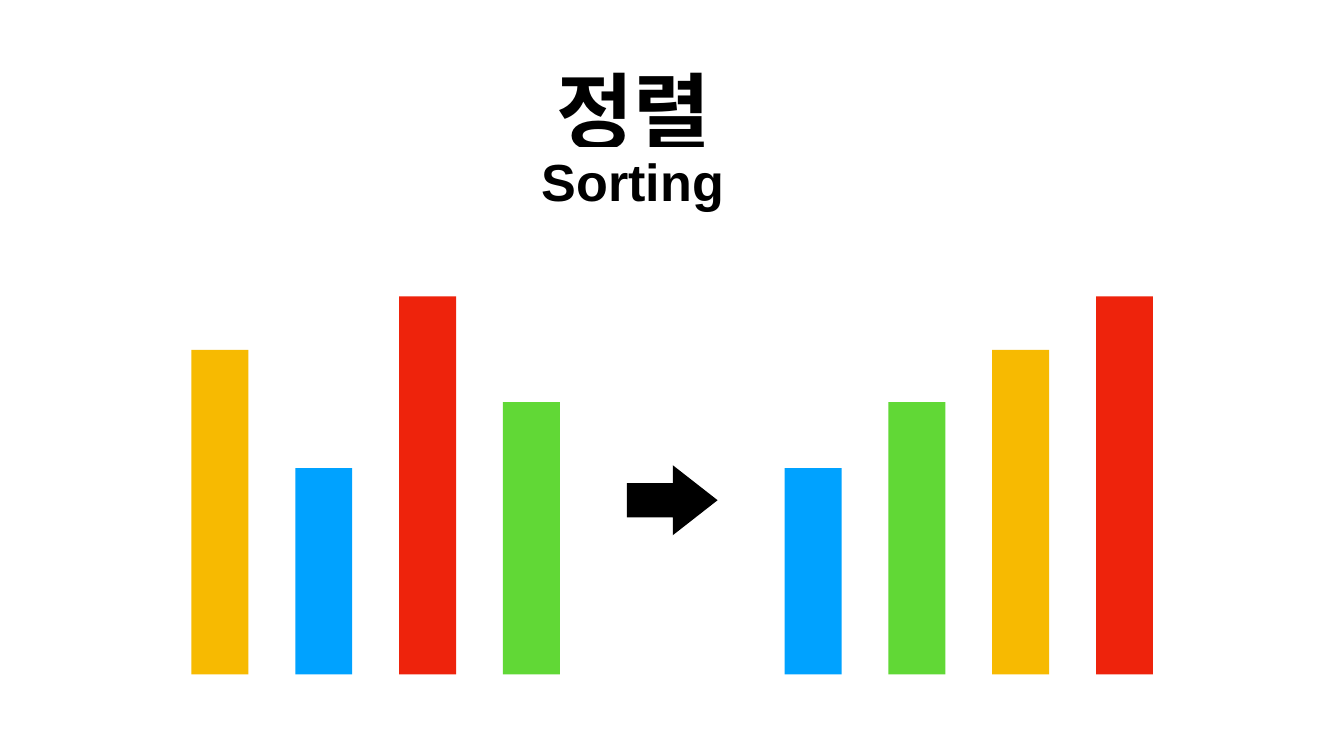
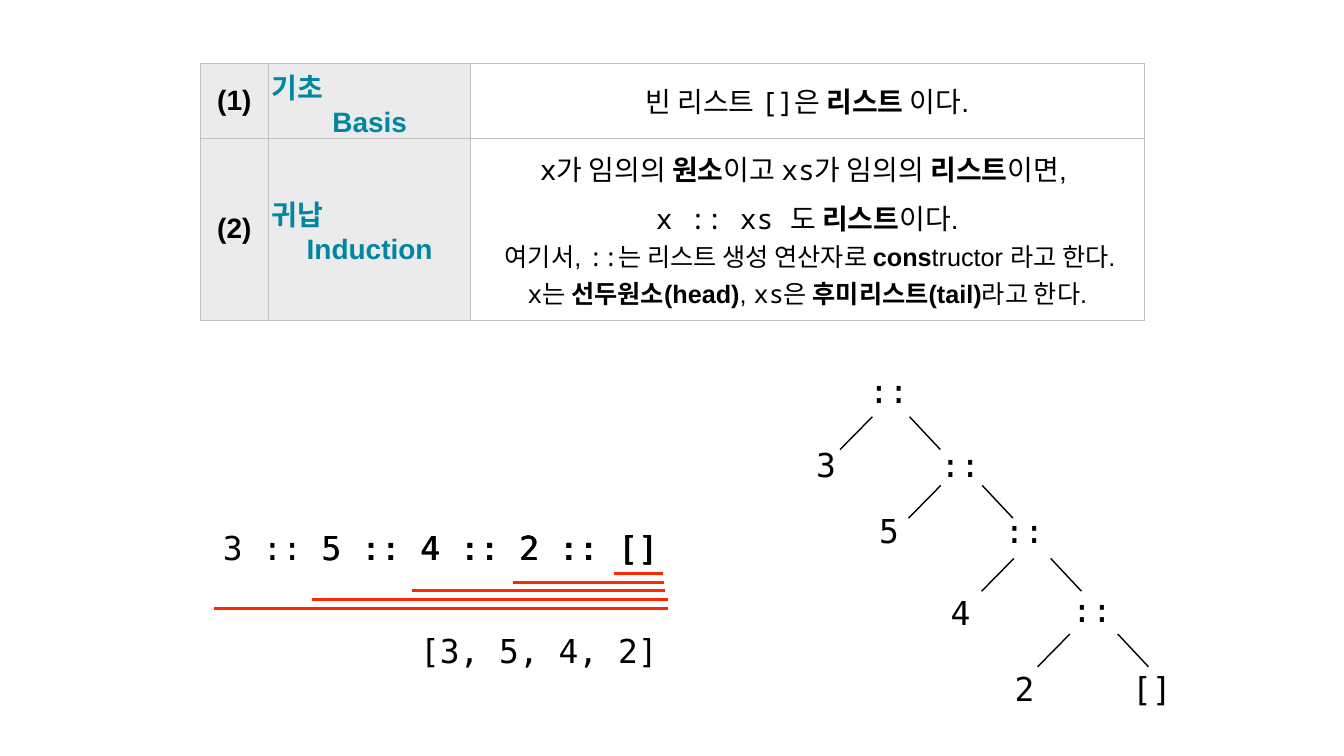
"""Build two slides on sorting and on the inductive definition of lists."""
from dataclasses import dataclass

from lxml.etree import SubElement
from pptx import Presentation
from pptx.dml.color import RGBColor
from pptx.enum.shapes import MSO_CONNECTOR as Connector, MSO_SHAPE as Preset
from pptx.enum.text import MSO_ANCHOR as Anchor, MSO_AUTO_SIZE as AutoSize, PP_ALIGN as Align
from pptx.oxml import parse_xml
from pptx.oxml.ns import nsdecls, qn
from pptx.util import Pt


@dataclass(frozen=True)
class Theme:
    black: RGBColor = RGBColor.from_string("000000")
    white: RGBColor = RGBColor.from_string("FFFFFF")
    yellow: RGBColor = RGBColor.from_string("F7BA01")
    blue: RGBColor = RGBColor.from_string("00A2FF")
    red: RGBColor = RGBColor.from_string("EE230C")
    green: RGBColor = RGBColor.from_string("61D836")
    teal: RGBColor = RGBColor.from_string("0086A2")
    gray: RGBColor = RGBColor.from_string("EBEBEB")
    underline: RGBColor = RGBColor.from_string("FF2600")
    border: str = "C0C0C0"
    sans: str = "Arial"
    cell_mono: str = "Noto Sans Mono"
    mono: str = "DejaVu Sans Mono"
    title: float = 120
    subtitle: float = 74.5
    code: float = 47
    cell: float = 40
    note: float = 36


THEME = Theme()
PX = 9144


def write_runs(paragraph, runs, size, color=THEME.black):
    """Add centred runs, each given as text, font name and boldness."""
    paragraph.alignment = Align.CENTER
    for text, font_name, bold in runs:
        run = paragraph.add_run()
        run.text = text
        run.font.name, run.font.size, run.font.bold = font_name, Pt(size), bold
        run.font.color.rgb = color


def add_text(slide, box, anchor, inset, run, size):
    """Add a text box with one centred run and return it."""
    shape = slide.shapes.add_textbox(*(value * PX for value in box))
    frame = shape.text_frame
    frame.word_wrap = False
    frame.vertical_anchor = anchor
    frame.margin_left = frame.margin_right = inset * PX
    frame.margin_top = frame.margin_bottom = inset * PX
    write_runs(frame.paragraphs[0], [run], size)
    return shape


presentation = Presentation()
presentation.slide_width, presentation.slide_height = 2667 * PX, 1500 * PX
blank = presentation.slide_layouts[6]

sorting_slide = presentation.slides.add_slide(blank)
headings = [
    ("정렬", (947, 108, 620, 216), THEME.title, 1.0),
    ("Sorting", (1023, 292, 466, 136), THEME.subtitle, 0.9),
]
for text, box, size, spacing in headings:
    shape = add_text(sorting_slide, box, Anchor.BOTTOM, 6, (text, THEME.sans, True), size)
    shape.text_frame.word_wrap = True
    shape.text_frame.paragraphs[0].line_spacing = spacing
    shape.fill.solid()
    shape.fill.fore_color.rgb = THEME.white

unsorted_bars = [(644, THEME.yellow), (409, THEME.blue), (750, THEME.red), (540, THEME.green)]
sorted_bars = sorted(unsorted_bars, key=lambda bar: bar[0])
figures = [(Preset.RIGHT_ARROW, (1244, 923, 180, 139), THEME.black)]
for left, bars in ((380, unsorted_bars), (1557, sorted_bars)):
    for index, (height, color) in enumerate(bars):
        figures.append((Preset.RECTANGLE, (left + 206 * index, 1338 - height, 113, height), color))
for preset, box, color in figures:
    shape = sorting_slide.shapes.add_shape(preset, *(value * PX for value in box))
    shape.shadow.inherit = False
    shape.fill.solid()
    shape.fill.fore_color.rgb = color
    shape.line.fill.background()
    if preset == Preset.RIGHT_ARROW:
        shape.adjustments[0], shape.adjustments[1] = 0.49, 0.64

list_slide = presentation.slides.add_slide(blank)
sans, bold, mono = (THEME.sans, False), (THEME.sans, True), (THEME.cell_mono, False)
basis = [
    (THEME.cell, 1.0, [("빈 리스트 ", *sans), ("[]", *mono), ("은 ", *sans),
                       ("리스트", *bold), (" 이다.", *sans)]),
]
induction = [
    (THEME.cell, 1.0, [("x", *mono), ("가 임의의 ", *sans), ("원소", *bold), ("이고 ", *sans),
                       ("xs", *mono), ("가 임의의 ", *sans), ("리스트", *bold), ("이면, ", *sans)]),
    (THEME.cell, 1.2, [("x :: xs ", *mono), ("도 ", *sans), ("리스트", *bold), ("이다.", *sans)]),
    (THEME.note, 1.0, [(" 여기서, ", *sans), ("::", *mono), ("는 리스트 생성 연산자로 ", *sans),
                       ("cons", *bold), ("tructor 라고 한다.", *sans)]),
    (THEME.note, 1.0, [("x", *mono), ("는 ", *sans), ("선두원소(head)", *bold), (", ", *sans),
                       ("xs", *mono), ("은 ", *sans), ("후미리스트(tail)", *bold),
                       ("라고 한다.", *sans)]),
]
rows = [("(1)", "기초\nBasis", basis), ("(2)", "귀납\nInduction", induction)]
table = list_slide.shapes.add_table(2, 3, 397 * PX, 126 * PX, 1873 * PX, 510 * PX).table
table.first_row = table.horz_banding = False
for column, width in zip(table.columns, (136, 401, 1336)):
    column.width = width * PX
for row, height in zip(table.rows, (148, 362)):
    row.height = height * PX
for row_index, (number, name, definition) in enumerate(rows):
    contents = [
        ([(THEME.cell, 1.0, [(number, *bold)])], THEME.black, THEME.gray),
        ([(THEME.cell, 1.0, [(name, *bold)])], THEME.teal, THEME.gray),
        (definition, THEME.black, THEME.white),
    ]
    for column_index, (lines, color, fill) in enumerate(contents):
        cell = table.cell(row_index, column_index)
        cell.vertical_anchor = Anchor.MIDDLE
        cell.margin_left = cell.margin_right = cell.margin_top = cell.margin_bottom = 6 * PX
        for line_index, (size, spacing, runs) in enumerate(lines):
            frame = cell.text_frame
            paragraph = frame.add_paragraph() if line_index else frame.paragraphs[0]
            paragraph.line_spacing = spacing
            write_runs(paragraph, runs, size, color)
        properties = cell._tc.get_or_add_tcPr()
        for side in ("lnL", "lnR", "lnT", "lnB"):
            properties.append(parse_xml(
                f'<a:{side} {nsdecls("a")} w="12700"><a:solidFill>'
                f'<a:srgbClr val="{THEME.border}"/></a:solidFill></a:{side}>'))
        cell.fill.solid()
        cell.fill.fore_color.rgb = fill

items = ["3", "5", "4", "2", "[]"]
code_boxes = [("[3, 5, 4, 2]", 795, 1244, 549)]
expression_boxes = [(434, 882), (629, 686), (825, 489), (1007, 323), (1219, 96)]
for index, (left, width) in enumerate(expression_boxes):
    code_boxes.append((" :: ".join(items[index:]), left, 1040, width))

operators = [(1705, 729), (1847, 876), (1974, 1007), (2108, 1163)]
leaves = [(1580, 876), (1705, 1007), (1847, 1169), (1974, 1319)]
code_boxes += [("::", left, top, 118) for left, top in operators]
code_boxes += [(item, left, top, 118) for item, (left, top) in zip(items, leaves)]
code_boxes.append(("[]", 2238, 1319, 96))
for text, left, top, width in code_boxes:
    shape = add_text(list_slide, (left, top, width, 92), Anchor.MIDDLE, 8,
                     (text, THEME.mono, False), THEME.code)
    shape.text_frame.auto_size = AutoSize.SHAPE_TO_FIT_TEXT

strokes = []
for left, right, top in ((1731, 1805, 827), (1867, 1949, 963), (2012, 2085, 1108), (2123, 2218, 1258)):
    strokes.append((left, top, left - 64, top + 65, THEME.black, 2))
    strokes.append((right, top, right + 61, top + 65, THEME.black, 2))
underlines = [(1218, 1315, 1138), (1018, 1318, 1155), (818, 1320, 1171),
              (619, 1325, 1189), (425, 1325, 1207)]
strokes += [(start, top, end, top, THEME.underline, 4) for start, end, top in underlines]
for *ends, color, weight in strokes:
    connector = list_slide.shapes.add_connector(Connector.STRAIGHT, *(value * PX for value in ends))
    connector.line.color.rgb = color
    connector.line.width = Pt(weight)
    SubElement(connector._element.spPr, qn("a:effectLst"))

presentation.save("out.pptx")
